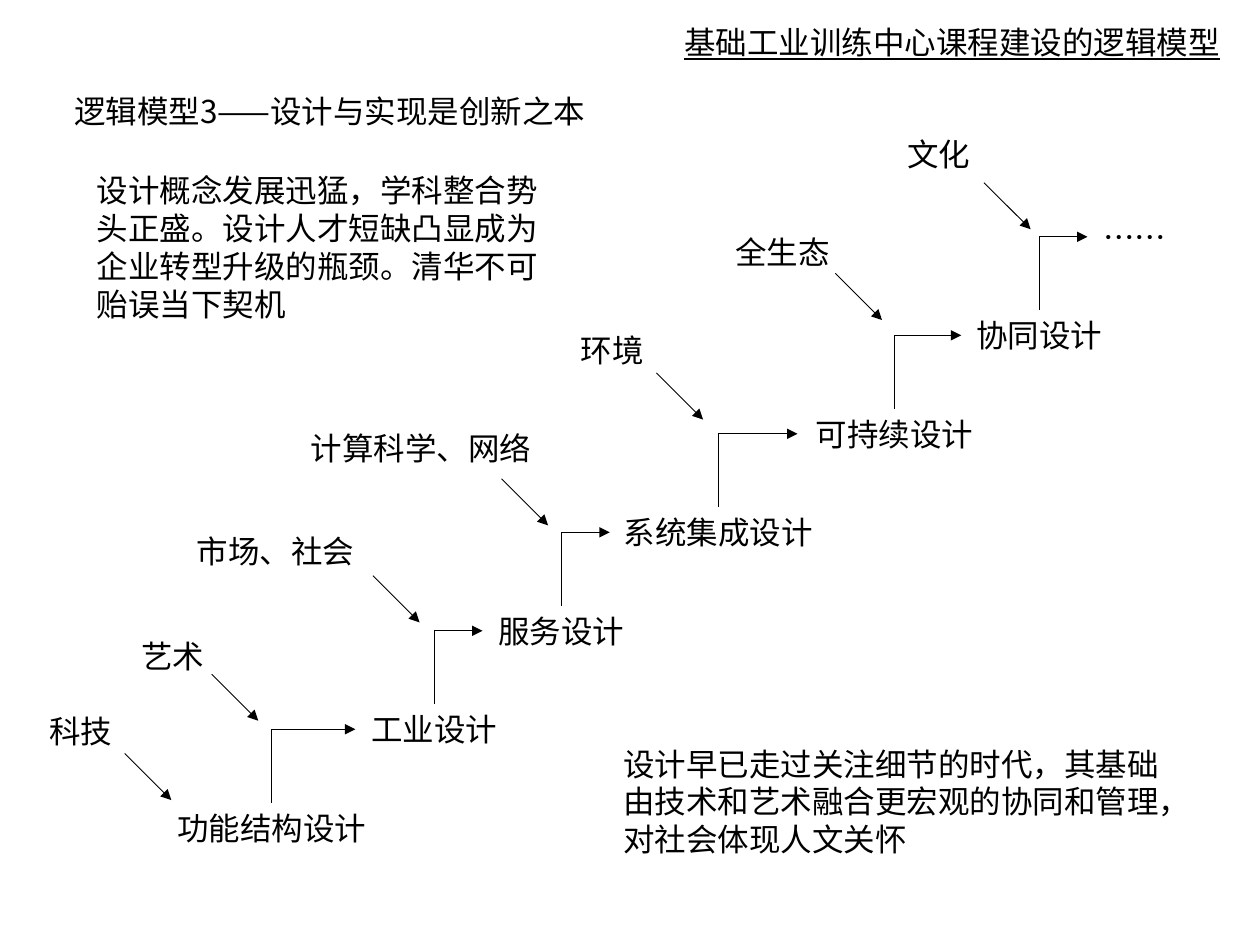
import lxml.etree
import pptx
import pptx.dml.color
import pptx.enum.shapes
import pptx.enum.text
import pptx.oxml.ns
import pptx.util

Inches = pptx.util.Inches
Align = pptx.enum.text.PP_ALIGN
Kind = pptx.enum.shapes.MSO_CONNECTOR
qn = pptx.oxml.ns.qn

HUES = {"ink": "000000", "page": "FFFFFF"}
FACE = "Noto Sans CJK SC"
HIGH = 0.4
BASE = 6.37
RISE = 4.69 / 6
SPAN = 0.37

STEPS = [
    ("功能结构设计", 1.25, 1.81),
    ("工业设计", 2.82, 1.25),
    ("服务设计", 3.83, 1.25),
    ("系统集成设计", 4.84, 1.72),
    ("可持续设计", 6.33, 1.54),
    ("协同设计", 7.63, 1.24),
    ("……", 8.63, 0.75),
]
CAUSES = [
    ("科技", 0.29, 5.6, 0.7, (0.99, 5.98)),
    ("艺术", 1.02, 5.01, 0.7, (1.68, 5.35)),
    ("市场、社会", 1.46, 4.17, 1.45, (2.96, 4.57)),
    ("计算科学、网络", 2.32, 3.36, 2.04, (3.98, 3.8)),
    ("环境", 4.51, 2.58, 0.7, (5.21, 2.96)),
    ("全生态", 5.73, 1.8, 0.96, (6.63, 2.17)),
    ("文化", 7.1, 1.02, 0.7, (7.81, 1.45)),
]
NOTES = [
    ("逻辑模型3——设计与实现是创新之本", 0.49, 0.68, 4.36, 0.7),
    ("设计概念发展迅猛，学科整合势头正盛。设计人才短缺凸显成为企业转型升级的瓶颈。清华不可贻误当下契机",
     0.67, 1.31, 3.93, 1.31),
    ("设计早已走过关注细节的时代，其基础由技术和艺术融合更宏观的协同和管理，对社会体现人文关怀",
     4.85, 5.86, 4.5, 1.01),
]


class Deck:
    """Holds the style and the current slide, and draws each kind of element."""

    def __init__(self):
        self.show = pptx.Presentation()
        self.show.slide_width = Inches(10)
        self.show.slide_height = Inches(7.5)
        self.slide = self.show.slides.add_slide(self.show.slide_layouts[5])
        fill = self.slide.background.fill
        fill.solid()
        fill.fore_color.rgb = self.hue("page")

    def hue(self, name):
        return pptx.dml.color.RGBColor.from_string(HUES[name])

    def style(self, shape, text, align, wrap):
        frame = shape.text_frame
        frame.text = text
        frame.word_wrap = wrap
        frame.auto_size = pptx.enum.text.MSO_AUTO_SIZE.NONE
        frame.vertical_anchor = pptx.enum.text.MSO_ANCHOR.TOP
        para = frame.paragraphs[0]
        para.alignment = align
        font = para.font
        font.size = pptx.util.Pt(18)
        font.name = FACE
        font.color.rgb = self.hue("ink")
        props = para._p.pPr.find(qn("a:defRPr"))
        lxml.etree.SubElement(props, qn("a:ea"), typeface=FACE)
        return font

    def title(self, text, left, top, width):
        shape = self.slide.shapes.title
        shape.left, shape.top = Inches(left), Inches(top)
        shape.width, shape.height = Inches(width), Inches(HIGH)
        self.style(shape, text, Align.LEFT, True).underline = True

    def text(self, text, left, top, width, height):
        box = self.slide.shapes.add_textbox(*map(Inches, (left, top, width, height)))
        self.style(box, text, Align.LEFT, True)

    def label(self, text, left, top, width):
        box = self.slide.shapes.add_textbox(*map(Inches, (left, top, width, HIGH)))
        self.style(box, text, Align.CENTER, False)
        return box

    def line(self, kind, start, end):
        link = self.slide.shapes.add_connector(kind, *start, *end)
        link.line.color.rgb = self.hue("ink")
        link.line.width = pptx.util.Pt(0.5)
        props = link._element.spPr
        lxml.etree.SubElement(props.find(qn("a:ln")), qn("a:tailEnd"), type="triangle")
        lxml.etree.SubElement(props, qn("a:effectLst"))
        return link

    def arrow(self, left, top):
        start = Inches(left), Inches(top)
        end = Inches(left + SPAN), Inches(top + SPAN)
        self.line(Kind.STRAIGHT, start, end)

    def climb(self, low, high):
        start = low.left + low.width // 2, low.top
        end = high.left, high.top + high.height // 2
        link = self.line(Kind.ELBOW, start, end)
        link.begin_connect(low, 0)
        link.end_connect(high, 1)
        across, up = end[0] - start[0], start[1] - end[1]
        link.left = (start[0] + end[0] - up) // 2
        link.top = (start[1] + end[1] - across) // 2
        link.width, link.height = up, across
        props = link._element.spPr
        frame = props.find(qn("a:xfrm"))
        for key, value in (("rot", "5400000"), ("flipH", "1"), ("flipV", "1")):
            frame.set(key, value)
        props.find(qn("a:prstGeom")).set("prst", "bentConnector2")


def main():
    deck = Deck()
    deck.title("基础工业训练中心课程建设的逻辑模型", 5.33, 0.13, 4.49)
    for note in NOTES:
        deck.text(*note)
    boxes = [deck.label(text, left, BASE - RISE * rank, width)
             for rank, (text, left, width) in enumerate(STEPS)]
    for low, high in zip(boxes, boxes[1:]):
        deck.climb(low, high)
    for text, left, top, width, start in CAUSES:
        deck.label(text, left, top, width)
        deck.arrow(*start)
    deck.show.save("out.pptx")


if __name__ == "__main__":
    main()
